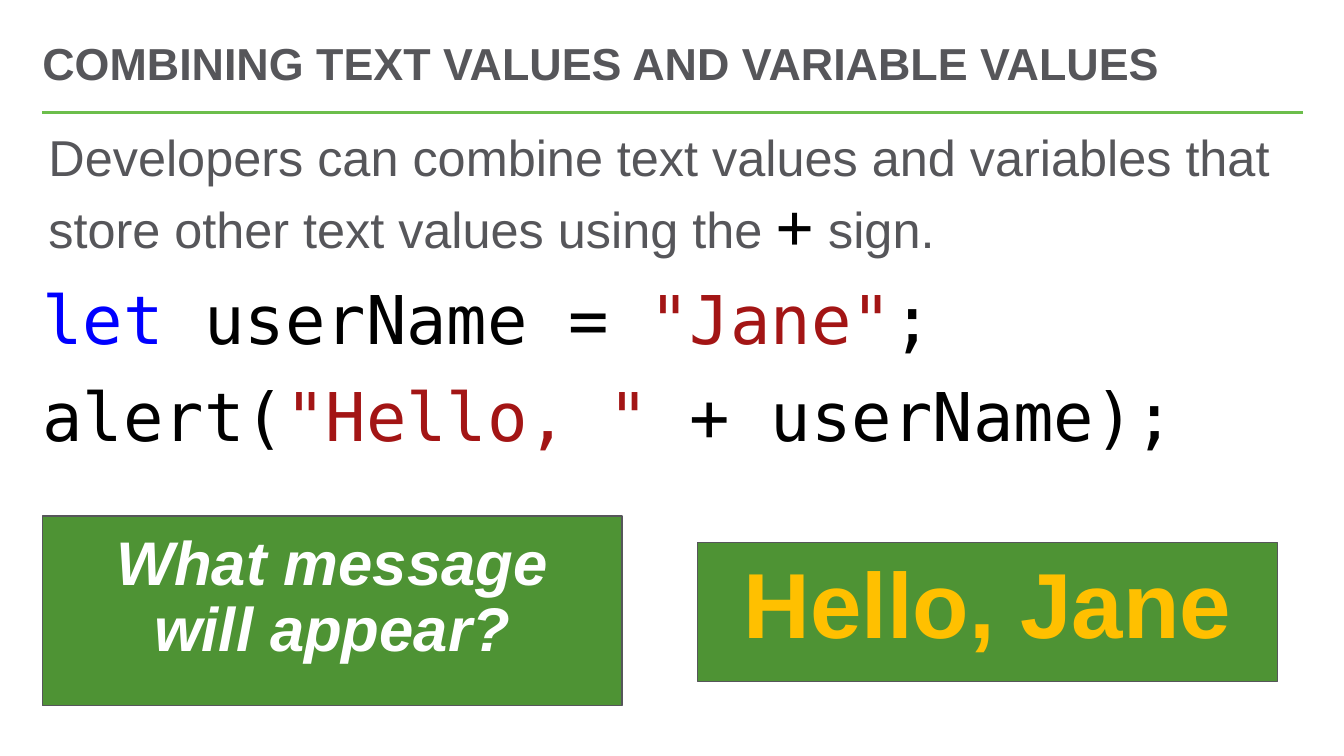
from lxml.etree import SubElement
from pptx import Presentation
from pptx.dml.color import RGBColor
from pptx.enum.shapes import MSO_CONNECTOR, MSO_SHAPE
from pptx.enum.text import MSO_ANCHOR as Anchor, MSO_AUTO_SIZE as AutoSize, PP_ALIGN as Align
from pptx.oxml.ns import qn
from pptx.util import Inches, Pt

GRAY = RGBColor(0x56, 0x56, 0x5A)
BLACK = RGBColor(0, 0, 0)
BLUE = RGBColor(0, 0, 0xFF)
RED = RGBColor(0xA3, 0x15, 0x15)
WHITE = RGBColor(0xFF, 0xFF, 0xFF)
GOLD = RGBColor(0xFF, 0xC0, 0)
BOX_GREEN = RGBColor(0x4E, 0x93, 0x34)
RULE_GREEN = RGBColor(0x6C, 0xBE, 0x4B)
SANS, MONO = "Arial", "DejaVu Sans Mono"

TITLE = "COMBINING TEXT VALUES AND VARIABLE VALUES"
INTRO = [
    ("Developers can combine text values and variables that store other text values using the ", GRAY, 36, SANS),
    ("+", BLACK, 44, MONO),
    (" sign.", GRAY, 36, SANS),
]
CODE = [
    [("let ", BLUE), ("userName = ", BLACK), ('"Jane"', RED), (";", BLACK)],
    [("alert(", BLACK), ('"Hello, "', RED), (" + userName);", BLACK)],
]
BOXES = [
    ("What message will appear?", 0.42, 5.12, 1.88, dict(size=44, color=WHITE, italic=True)),
    ("Hello, Jane", 6.92, 5.38, 1.38, dict(size=66, color=GOLD)),
]
LEFT, WIDTH, BOX_WIDTH = 0.42, 12.5, 5.75


def add_text(paragraph, text, color, size, font=SANS, bold=False, italic=False):
    run = paragraph.add_run()
    run.text = text
    run.font.name = font
    run.font.size = Pt(size)
    run.font.bold = bold
    run.font.italic = italic
    run.font.color.rgb = color


def place(shape, left, top, width, height):
    shape.left, shape.top = Inches(left), Inches(top)
    shape.width, shape.height = Inches(width), Inches(height)


def set_frame(shape, anchor, left, top, right, bottom):
    frame = shape.text_frame
    frame.word_wrap = True
    frame.auto_size = AutoSize.NONE
    frame.vertical_anchor = anchor
    frame.margin_left, frame.margin_top = Inches(left), Inches(top)
    frame.margin_right, frame.margin_bottom = Inches(right), Inches(bottom)
    return frame


presentation = Presentation()
presentation.slide_width, presentation.slide_height = Inches(13.33), Inches(7.5)
slide = presentation.slides.add_slide(presentation.slide_layouts[1])

rule = slide.shapes.add_connector(
    MSO_CONNECTOR.STRAIGHT, Inches(LEFT), Inches(1.12), Inches(LEFT + WIDTH), Inches(1.12))
rule.line.color.rgb = RULE_GREEN
rule.line.width = Pt(2.25)
SubElement(rule._element.spPr, qn("a:effectLst"))

title = slide.shapes.title
place(title, LEFT, 0.25, WIDTH, 0.75)
paragraph = set_frame(title, Anchor.MIDDLE, 0, 0.05, 0, 0).paragraphs[0]
paragraph.alignment = Align.LEFT
paragraph.line_spacing = 0.9
add_text(paragraph, TITLE, GRAY, 32, bold=True)

body = slide.placeholders[1]
place(body, LEFT, 1.25, WIDTH, 5.75)
frame = set_frame(body, Anchor.TOP, 0, 0, 0, 0)
code_lines = [[(text, color, 48, MONO) for text, color in line] for line in CODE]
for index, line in enumerate([INTRO] + code_lines):
    paragraph = frame.add_paragraph() if index else frame.paragraphs[0]
    paragraph.space_before, paragraph.space_after = Pt(0), Pt(12)
    properties = paragraph._p.get_or_add_pPr()
    properties.set("marL", str(0 if index else Inches(0.06)))
    properties.set("indent", "0")
    SubElement(properties, qn("a:buNone"))
    for text, color, size, font in line:
        add_text(paragraph, text, color, size, font)

for text, left, top, height, style in BOXES:
    box = slide.shapes.add_shape(
        MSO_SHAPE.RECTANGLE, Inches(left), Inches(top), Inches(BOX_WIDTH), Inches(height))
    box.shadow.inherit = False
    box.fill.solid()
    box.fill.fore_color.rgb = BOX_GREEN
    box.line.color.rgb = GRAY
    box.line.width = Pt(1)
    paragraph = set_frame(box, Anchor.TOP, 0.2, 0.16, 0.2, 0.16).paragraphs[0]
    paragraph.alignment = Align.CENTER
    paragraph.line_spacing = 0.9
    add_text(paragraph, text, bold=True, **style)

presentation.save("out.pptx")
